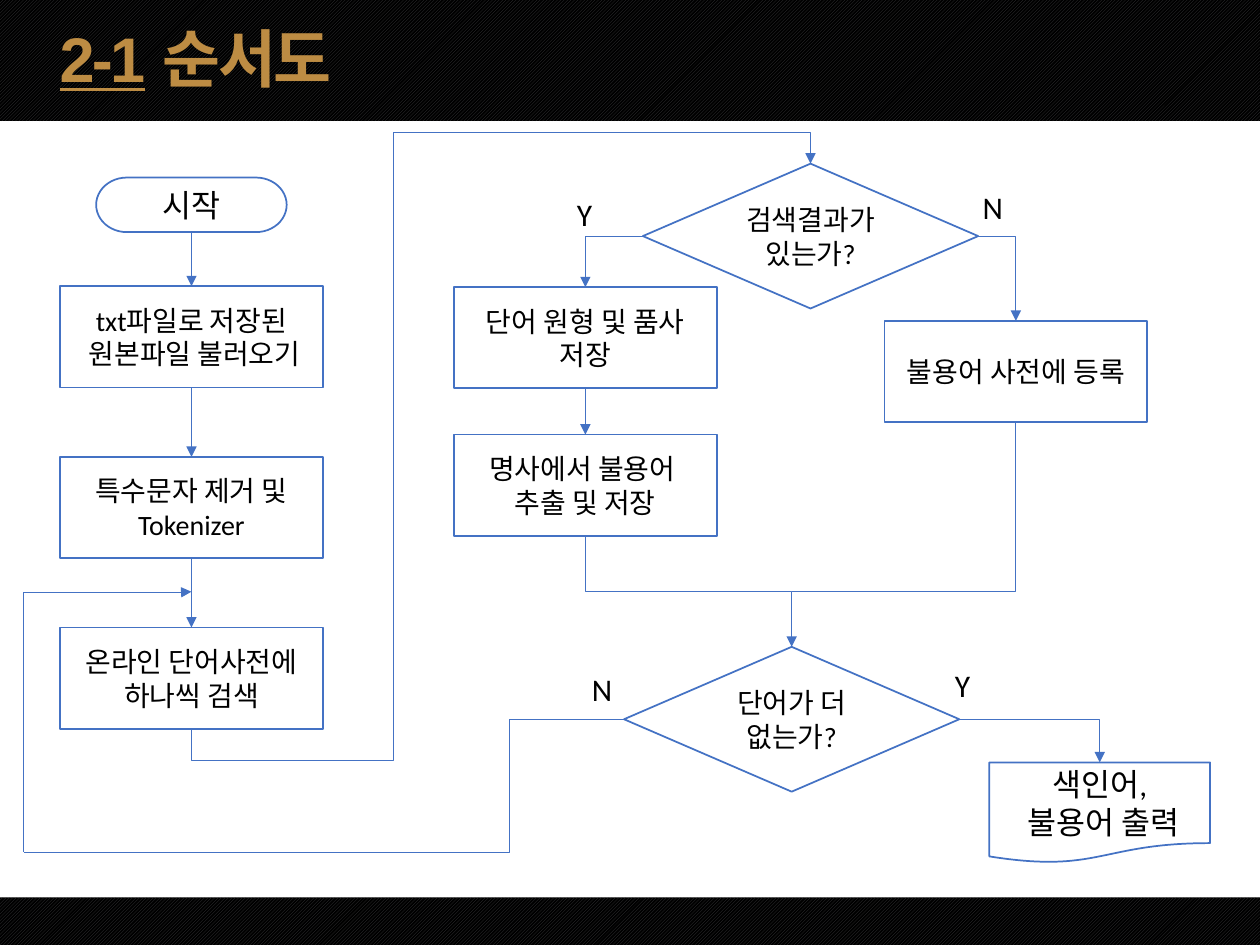
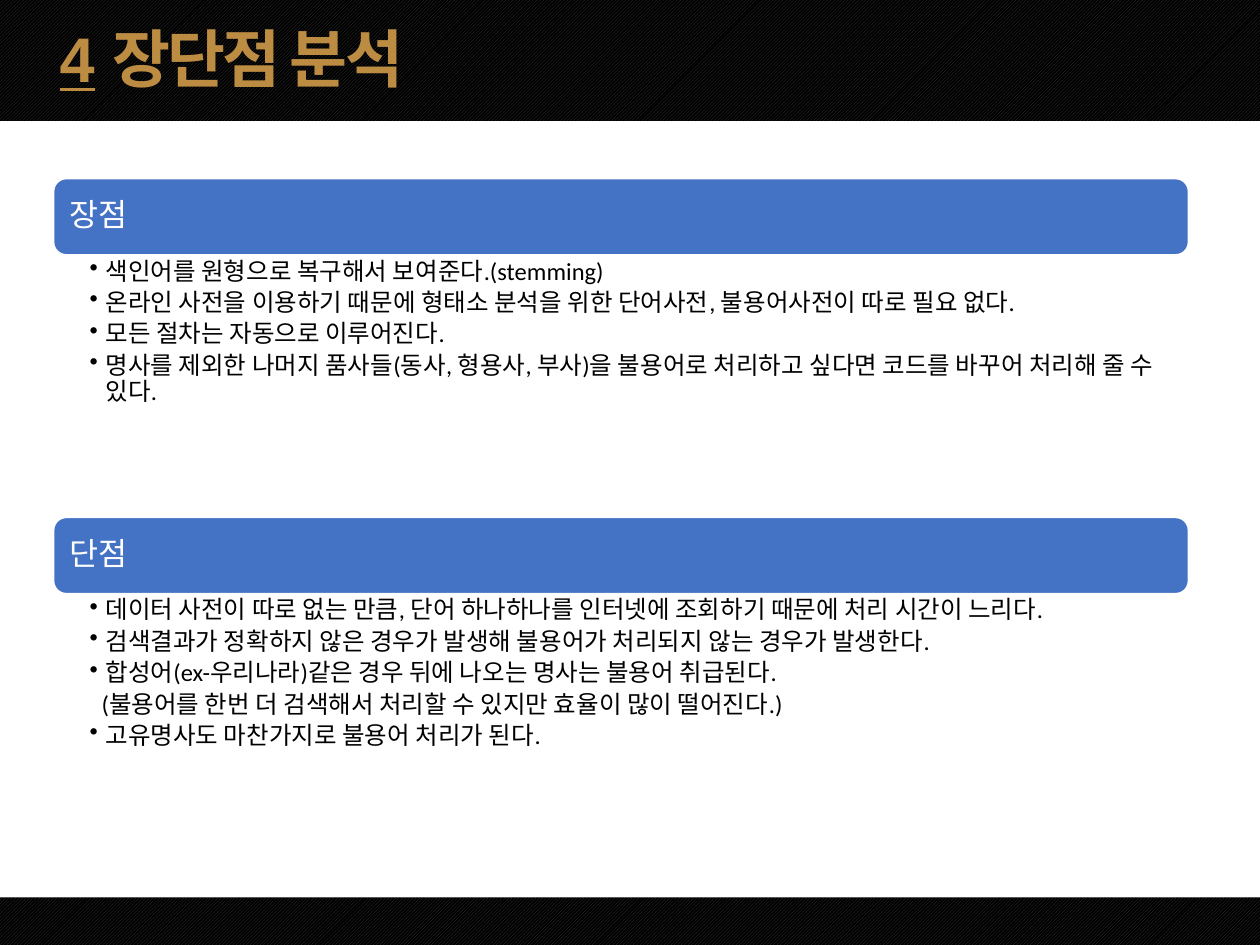
import pptx
import pptx.dml.color
import pptx.enum.dml
import pptx.enum.shapes
import pptx.enum.text
import pptx.oxml.ns
import pptx.util
from lxml import etree

Cm, Pt = pptx.util.Cm, pptx.util.Pt
RGBColor = pptx.dml.color.RGBColor
SHAPE = pptx.enum.shapes.MSO_SHAPE
CONNECTOR = pptx.enum.shapes.MSO_CONNECTOR
ALIGN = pptx.enum.text.PP_ALIGN
ANCHOR = pptx.enum.text.MSO_ANCHOR
AUTO_SIZE = pptx.enum.text.MSO_AUTO_SIZE
qn = pptx.oxml.ns.qn

BLUE = RGBColor(0x44, 0x72, 0xC4)
GOLD = RGBColor(0xBD, 0x8C, 0x43)
GREY = RGBColor(0x3A, 0x3A, 0x3C)
BLACK = RGBColor(0, 0, 0)
WHITE = RGBColor(255, 255, 255)
BODY_FONT = "Calibri"
TITLE_FONT = "Arial"


def finish_line(cxn, arrow=True):
    """Give a connector its thin blue line, without shadow."""
    cxn.line.color.rgb = BLUE
    cxn.line.width = Pt(0.5)
    sp_pr = cxn.element.spPr
    if arrow:
        etree.SubElement(sp_pr.find(qn("a:ln")), qn("a:tailEnd"), type="triangle")
    etree.SubElement(sp_pr, qn("a:effectLst"))


def elbow(s, start, end, bends, rot=0, flip="", adj=(), arrow=True):
    """Add a bent connector; its box is centred between both ends, then turned."""
    cx, cy = (start[0] + end[0]) / 2, (start[1] + end[1]) / 2
    w, h = abs(end[0] - start[0]), abs(end[1] - start[1])
    if rot % 180:
        w, h = h, w
    if "h" in flip:
        w = -w
    if "v" in flip:
        h = -h
    cxn = s.shapes.add_connector(CONNECTOR.ELBOW, Cm(cx - w / 2), Cm(cy - h / 2),
                                 Cm(cx + w / 2), Cm(cy + h / 2))
    sp_pr = cxn.element.spPr
    sp_pr.find(qn("a:xfrm")).set("rot", str(rot * 60000))
    geom = sp_pr.find(qn("a:prstGeom"))
    geom.set("prst", f"bentConnector{bends}")
    for i, value in enumerate(adj, 1):
        etree.SubElement(geom.find(qn("a:avLst")), qn("a:gd"), name=f"adj{i}",
                         fmla=f"val {round(value * 100000)}")
    finish_line(cxn, arrow)


prs = pptx.Presentation()
prs.slide_width, prs.slide_height = Cm(25.4), Cm(19.05)
layout = prs.slide_layouts[5]

# Titles
slides = []
for number, heading in [("2-1", " 순서도"), ("4", " 장단점 분석")]:
    s = prs.slides.add_slide(layout)
    slides.append(s)
    title = s.shapes.title
    title.left, title.top, title.width, title.height = Cm(1.2), Cm(0.4), Cm(13.97), Cm(1.55)
    tf = title.text_frame
    tf.margin_left = tf.margin_right = tf.margin_top = tf.margin_bottom = 0
    tf.vertical_anchor = ANCHOR.TOP
    tf.auto_size = AUTO_SIZE.NONE
    p = tf.paragraphs[0]
    p.alignment = ALIGN.LEFT
    p.font.name, p.font.size, p.font.bold = TITLE_FONT, Pt(36), True
    p.font.color.rgb = GOLD
    for text, underline in [(number, True), (heading, False)]:
        r = p.add_run()
        r.text = text
        r.font.underline = underline
        r._r.get_or_add_rPr().set("spc", "-150")
flow, analysis = slides

# Patterned bands, moved to the layout so that both slides share them
for top, height in [(0, 2.44), (18.09, 0.96)]:
    band = flow.shapes.add_shape(SHAPE.RECTANGLE, 0, Cm(top), prs.slide_width, Cm(height))
    band.shadow.inherit = False
    band.fill.patterned()
    band.fill.pattern = pptx.enum.dml.MSO_PATTERN.LIGHT_UPWARD_DIAGONAL
    band.fill.fore_color.rgb = GREY
    band.fill.back_color.rgb = BLACK
    band.line.fill.background()
    layout.shapes.element.insert(2, band.element)

# Flowchart: columns by their centre lines
LEFT, MIDDLE, RIGHT = 3.86, 11.8, 20.48
CHECK_RESULT, CHECK_END, OUTPUT = 16.34, 15.96, 22.17
FIRST_STEP, STEP_PITCH = 5.77, 3.44
SIZES = {  # width, height, text size
    SHAPE.FLOWCHART_TERMINATOR: (3.84, 1.1, 18),
    SHAPE.FLOWCHART_PROCESS: (5.3, 2.04, 16),
    SHAPE.FLOWCHART_DECISION: (6.76, 2.92, 16),
    SHAPE.FLOWCHART_DOCUMENT: (4.45, 2.03, 18),
}
nodes = {}
for name, kind, center, top, text in [
    ("start", SHAPE.FLOWCHART_TERMINATOR, LEFT, 3.58, "시작"),
    ("load", SHAPE.FLOWCHART_PROCESS, LEFT, FIRST_STEP, "txt파일로 저장된\n 원본파일 불러오기"),
    ("tokenize", SHAPE.FLOWCHART_PROCESS, LEFT, FIRST_STEP + STEP_PITCH,
     "특수문자 제거 및\nTokenizer"),
    ("search", SHAPE.FLOWCHART_PROCESS, LEFT, FIRST_STEP + 2 * STEP_PITCH,
     "온라인 단어사전에 하나씩 검색"),
    ("found", SHAPE.FLOWCHART_DECISION, CHECK_RESULT, 3.3, "검색결과가 있는가?"),
    ("save", SHAPE.FLOWCHART_PROCESS, MIDDLE, 5.79, "단어 원형 및 품사 저장"),
    ("extract", SHAPE.FLOWCHART_PROCESS, MIDDLE, 8.76, "명사에서 불용어 \n추출 및 저장"),
    ("register", SHAPE.FLOWCHART_PROCESS, RIGHT, 6.47, "불용어 사전에 등록"),
    ("finished", SHAPE.FLOWCHART_DECISION, CHECK_END, 13.04, "단어가 더 없는가?"),
    ("output", SHAPE.FLOWCHART_DOCUMENT, OUTPUT, 15.37, "색인어,\n 불용어 출력"),
]:
    width, height, size = SIZES[kind]
    sp = flow.shapes.add_shape(kind, Cm(center - width / 2), Cm(top), Cm(width), Cm(height))
    sp.shadow.inherit = False
    sp.fill.solid()
    sp.fill.fore_color.rgb = WHITE
    sp.line.color.rgb = BLUE
    sp.line.width = Pt(1)
    tf = sp.text_frame
    tf.text = text
    tf.vertical_anchor = ANCHOR.MIDDLE
    for p in tf.paragraphs:
        p.alignment = ALIGN.CENTER
        p.font.name, p.font.size = BODY_FONT, Pt(size)
        p.font.color.rgb = BLACK
    nodes[name] = sp

for upper, lower in [("start", "load"), ("load", "tokenize"), ("tokenize", "search"),
                     ("save", "extract")]:
    cxn = flow.shapes.add_connector(CONNECTOR.STRAIGHT, 0, 0, 0, 0)
    cxn.begin_connect(nodes[upper], 2)
    cxn.end_connect(nodes[lower], 0)
    finish_line(cxn)

MERGE_Y, LOOP = 11.93, (0.48, 17.18)
elbow(flow, (LEFT, 14.69), (CHECK_RESULT, 3.3), 5, 90, "hv", (-0.056, 0.327, 1.056))
elbow(flow, (19.72, 4.76), (RIGHT, 6.47), 2)
elbow(flow, (12.96, 4.76), (MIDDLE, 5.79), 2, 180, "v")
elbow(flow, (MIDDLE, 10.8), (CHECK_END, 13.04), 3, 270, "h", (0.5,))
elbow(flow, (RIGHT, 8.51), (CHECK_END, MERGE_Y), 2, 90, arrow=False)
elbow(flow, (12.58, 14.5), LOOP, 3, 180, "v", (0.191,), arrow=False)
elbow(flow, LOOP, (LEFT, MERGE_Y), 3, 90, "hv", (0.998,))
elbow(flow, (19.34, 14.5), (OUTPUT, 15.37), 2)

for answer, left, top in [("Y", 11.38, 3.81), ("N", 19.56, 3.66),
                          ("N", 11.68, 13.39), ("Y", 19, 13.31)]:
    label = flow.shapes.add_textbox(Cm(left), Cm(top), Cm(0.85), Cm(1.02))
    tf = label.text_frame
    tf.word_wrap = False
    tf.auto_size = AUTO_SIZE.SHAPE_TO_FIT_TEXT
    p = tf.paragraphs[0]
    p.text = answer
    p.font.name, p.font.size = BODY_FONT, Pt(18)
    p.font.color.rgb = BLACK

# Strengths and weaknesses
PANEL_LEFT, PANEL_WIDTH, HEADER_HEIGHT = Cm(1.08), Cm(22.88), Cm(1.54)
HANG = Cm(0.32)
for heading, top, height, points in [
    ("장점", 3.6, 5.28, [
        "색인어를 원형으로 복구해서 보여준다.(stemming)",
        "온라인 사전을 이용하기 때문에 형태소 분석을 위한 단어사전, 불용어사전이 따로 필요 없다.",
        "모든 절차는 자동으로 이루어진다.",
        "명사를 제외한 나머지 품사들(동사, 형용사, 부사)을 불용어로 처리하고 싶다면 "
        "코드를 바꾸어 처리해 줄 수 있다.",
    ]),
    ("단점", 10.43, 4.75, [
        "데이터 사전이 따로 없는 만큼, 단어 하나하나를 인터넷에 조회하기 때문에 처리 시간이 느리다.",
        "검색결과가 정확하지 않은 경우가 발생해 불용어가 처리되지 않는 경우가 발생한다.",
        "합성어(ex-우리나라)같은 경우 뒤에 나오는 명사는 불용어 취급된다.",
        "(불용어를 한번 더 검색해서 처리할 수 있지만 효율이 많이 떨어진다.)",
        "고유명사도 마찬가지로 불용어 처리가 된다.",
    ]),
]:
    header = analysis.shapes.add_shape(SHAPE.ROUNDED_RECTANGLE, PANEL_LEFT, Cm(top),
                                       PANEL_WIDTH, HEADER_HEIGHT)
    header.shadow.inherit = False
    header.fill.solid()
    header.fill.fore_color.rgb = BLUE
    header.line.color.rgb = WHITE
    header.line.width = Pt(1)
    tf = header.text_frame
    tf.vertical_anchor = ANCHOR.MIDDLE
    p = tf.paragraphs[0]
    p.text = heading
    p.alignment = ALIGN.LEFT
    p.line_spacing = 0.9
    p.font.name, p.font.size = BODY_FONT, Pt(18)
    p.font.color.rgb = WHITE

    body = analysis.shapes.add_textbox(PANEL_LEFT, Cm(top) + HEADER_HEIGHT,
                                       PANEL_WIDTH, Cm(height))
    tf = body.text_frame
    tf.word_wrap = True
    tf.margin_left, tf.margin_right = Cm(0.73), Cm(0.36)
    tf.margin_top = tf.margin_bottom = Cm(0.08)
    tf.text = "\n".join(points)
    for p in tf.paragraphs:
        p.line_spacing = 0.9
        p.space_after = Pt(2.8)
        p.font.name, p.font.size = BODY_FONT, Pt(14)
        p.font.color.rgb = BLACK
        is_aside = p.text.startswith("(")
        p_pr = p._p.get_or_add_pPr()
        p_pr.set("marL", str(HANG))
        p_pr.set("indent", str(-Cm(0.08) if is_aside else -HANG))
        if not is_aside:
            bullet = etree.Element(qn("a:buChar"), char="•")
            p_pr.find(qn("a:spcAft")).addnext(bullet)

prs.save("out.pptx")
